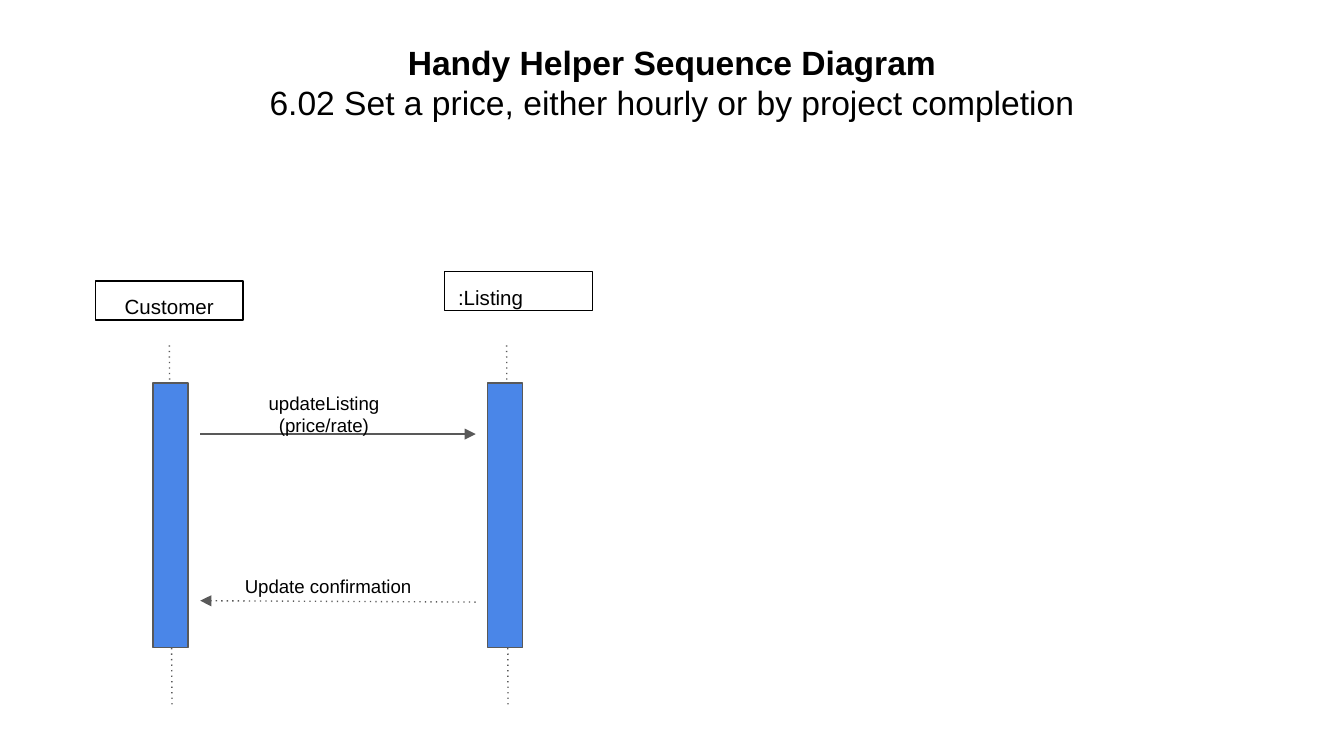
from pptx import Presentation, util as u
from pptx.dml.color import RGBColor
from pptx.enum import shapes, text
from pptx.oxml.ns import qn
from lxml import etree

BLACK = RGBColor(0x00, 0x00, 0x00)
GRAY = RGBColor(0x59, 0x59, 0x59)
BLUE = RGBColor(0x4A, 0x86, 0xE8)
CENTER = text.PP_ALIGN.CENTER
TOP = text.MSO_ANCHOR.TOP
MIDDLE = text.MSO_ANCHOR.MIDDLE


def write(shape, lines, size, align=CENTER, anchor=TOP, bold_first=False):
    frame = shape.text_frame
    frame.word_wrap = True
    frame.auto_size = text.MSO_AUTO_SIZE.NONE
    frame.vertical_anchor = anchor
    frame.margin_left = frame.margin_right = u.Inches(0.1)
    frame.margin_top = frame.margin_bottom = u.Inches(0.1)
    for index, line in enumerate(lines):
        para = frame.add_paragraph() if index else frame.paragraphs[0]
        para.alignment = align
        para.line_spacing = 1.0
        para.space_before = u.Pt(0)
        span = para.add_run()
        span.text = line
        span.font.name = "Arial"
        span.font.size = u.Pt(size)
        span.font.bold = bold_first and index == 0
        span.font.color.rgb = BLACK


def draw_line(page, start, end, dotted=False, arrow=False):
    line = page.shapes.add_connector(
        shapes.MSO_CONNECTOR.STRAIGHT, *map(u.Inches, start + end))
    line.line.color.rgb = GRAY
    line.line.width = u.Pt(0.75)
    outline = line.line._get_or_add_ln()
    if dotted:
        etree.SubElement(outline, qn("a:prstDash"), val="dot")
    if arrow:
        etree.SubElement(outline, qn("a:tailEnd"), type="triangle", w="med", len="med")
    etree.SubElement(line._element.spPr, qn("a:effectLst"))


deck = Presentation()
deck.slide_width = u.Inches(10)
deck.slide_height = u.Inches(10) * 9 // 16
page = deck.slides.add_slide(deck.slide_layouts[5])

title = page.shapes.title
title.left, title.top = u.Inches(0.34), u.Inches(0.21)
title.width, title.height = u.Inches(9.32), u.Inches(0.63)
write(title, ["Handy Helper Sequence Diagram",
              "6.02 Set a price, either hourly or by project completion"],
      18, bold_first=True)

participants = [
    ("Customer", 0.71, 2.09, CENTER, 1.14, 1.26, 1.28),
    (":Listing", 3.31, 2.02, text.PP_ALIGN.LEFT, 3.63, 3.77, 3.78),
]
for name, left, top, align, bar_left, line_top, line_bottom in participants:
    box = page.shapes.add_shape(
        shapes.MSO_SHAPE.RECTANGLE, *map(u.Inches, (left, top, 1.1, 0.29)))
    box.fill.background()
    box.line.color.rgb = BLACK
    write(box, [name], 11, align)

    draw_line(page, (line_top, 2.57), (line_bottom, 5.25), dotted=True)

    bar = page.shapes.add_shape(
        shapes.MSO_SHAPE.RECTANGLE, *map(u.Inches, (bar_left, 2.85, 0.26, 1.97)))
    bar.fill.solid()
    bar.fill.fore_color.rgb = BLUE
    bar.line.color.rgb = GRAY

    for shape in (box, bar):
        shape.line.width = u.Pt(0.75)
        shape.shadow.inherit = False

messages = [
    (["updateListing", "(price/rate)"], (1.72, 2.97, 1.38, 0.22),
     (1.49, 3.23), (3.54, 3.23), False),
    (["Update confirmation"], (1.68, 4.25, 1.52, 0.22),
     (3.54, 4.48), (1.49, 4.47), True),
]
for lines, area, start, end, dotted in messages:
    draw_line(page, start, end, dotted=dotted, arrow=True)
    label = page.shapes.add_textbox(*map(u.Inches, area))
    write(label, lines, 10, anchor=MIDDLE)

deck.save("out.pptx")
